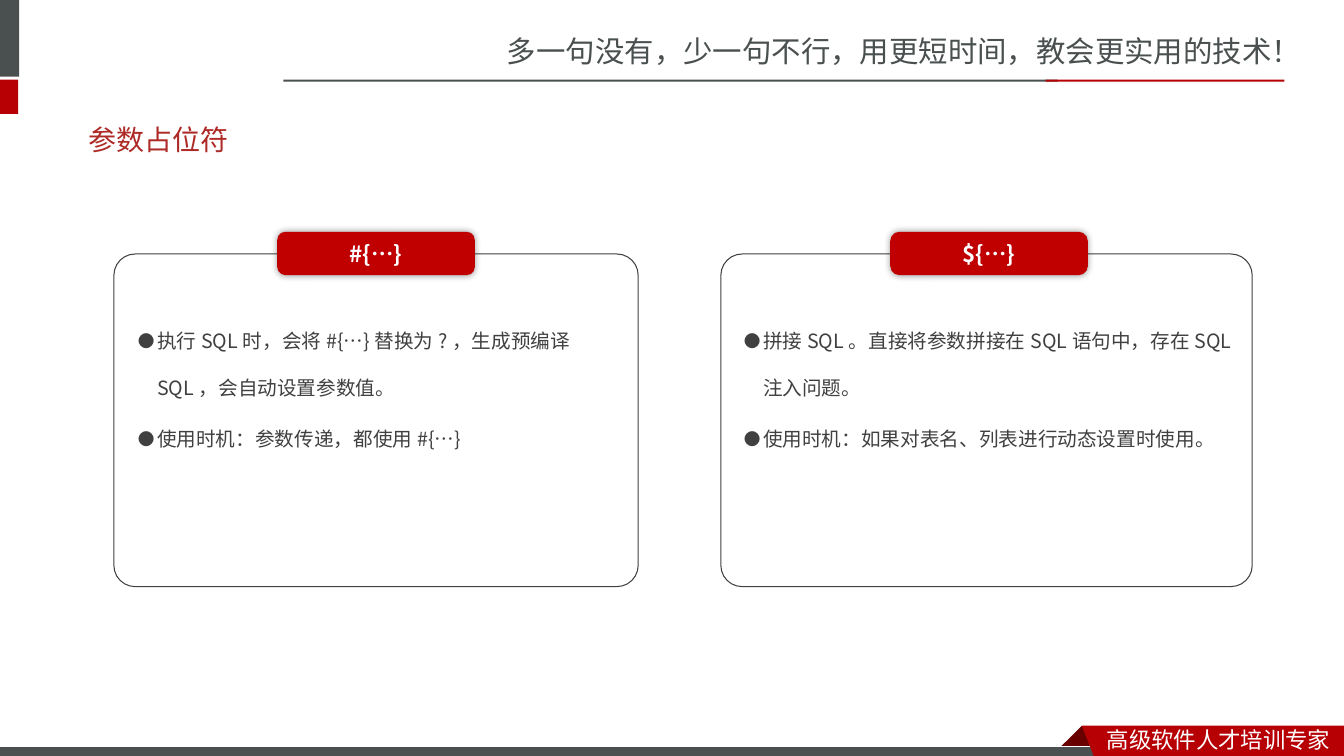
from dataclasses import dataclass

from lxml.etree import SubElement
from pptx import Presentation
from pptx.dml.color import RGBColor
from pptx.enum.shapes import MSO_SHAPE as Preset
from pptx.enum.text import MSO_ANCHOR as Anchor, PP_ALIGN as Align
from pptx.oxml.ns import qn
from pptx.util import Inches, Pt

GREY, RED, DARK_RED, WHITE = "49504F", "B60004", "680000", "FFFFFF"
BADGE_RED, TITLE_RED, INK = "C00000", "AD2A26", "404040"
SANS, SANS_JP, LATO = "Noto Sans CJK SC", "Noto Sans CJK JP", "Lato"


@dataclass
class Box:
    left: float
    top: float
    width: float
    height: float

    def inches(self) -> tuple:
        return tuple(Inches(n) for n in (self.left, self.top, self.width, self.height))


@dataclass
class Bar:
    box: Box
    fill: str
    line: str = ""


@dataclass
class Ribbon:
    points: list
    fill: str


@dataclass
class Label:
    box: Box
    text: str
    size: float
    color: str
    font: str = SANS
    anchor: Anchor = Anchor.TOP


@dataclass
class Card:
    frame: Box
    badge_left: float
    badge_corner: float
    badge: str
    body_left: float
    bullets: list


def rgb(color: str) -> RGBColor:
    return RGBColor.from_string(color)


def paint(shape, fill: str = "", line: str = "") -> None:
    shape.shadow.inherit = False
    if fill:
        shape.fill.solid()
        shape.fill.fore_color.rgb = rgb(fill)
    else:
        shape.fill.background()
    if line:
        shape.line.color.rgb = rgb(line)
        shape.line.width = Pt(0.75)
    else:
        shape.line.fill.background()


def add_run(paragraph, text: str, size: float, color: str, font: str, bold: bool = False) -> None:
    run = paragraph.add_run()
    run.text = text
    run.font.size = Pt(size)
    run.font.bold = bold
    run.font.name = font
    run.font.color.rgb = rgb(color)
    SubElement(run.font._element, qn("a:ea"), typeface=font)


def add_bullet(paragraph) -> None:
    properties = paragraph._p.get_or_add_pPr()
    properties.set("marL", str(Inches(0.19)))
    properties.set("indent", str(-Inches(0.19)))
    color = SubElement(properties, qn("a:buClr"))
    SubElement(color, qn("a:srgbClr"), val=INK)
    SubElement(properties, qn("a:buSzPct"), val="85000")
    SubElement(properties, qn("a:buFont"), typeface=SANS_JP)
    SubElement(properties, qn("a:buChar"), char="●")


def add_glow_shadow(shape) -> None:
    effects = shape._element.spPr.find(qn("a:effectLst"))
    shadow = SubElement(effects, qn("a:outerShdw"), blurRad=str(Pt(5)), dist="0", dir="0")
    color = SubElement(shadow, qn("a:srgbClr"), val="000000")
    SubElement(color, qn("a:alpha"), val="40000")


def draw_bar(slide, bar: Bar) -> None:
    paint(slide.shapes.add_shape(Preset.RECTANGLE, *bar.box.inches()), bar.fill, bar.line)


def draw_ribbon(slide, ribbon: Ribbon) -> None:
    start, *rest = [(Inches(x), Inches(y)) for x, y in ribbon.points]
    builder = slide.shapes.build_freeform(*start)
    builder.add_line_segments(rest, close=True)
    paint(builder.convert_to_shape(), ribbon.fill)


def draw_label(slide, label: Label) -> None:
    frame = slide.shapes.add_textbox(*label.box.inches()).text_frame
    frame.word_wrap = True
    frame.vertical_anchor = label.anchor
    add_run(frame.paragraphs[0], label.text, label.size, label.color, label.font)


def draw_card(slide, card: Card) -> None:
    frame = slide.shapes.add_shape(Preset.ROUNDED_RECTANGLE, *card.frame.inches())
    frame.adjustments[0] = 0.064
    paint(frame, line=INK)

    badge_box = Box(card.badge_left, 2.3, 1.96, 0.43)
    badge = slide.shapes.add_shape(Preset.ROUNDED_RECTANGLE, *badge_box.inches())
    badge.adjustments[0] = card.badge_corner
    paint(badge, BADGE_RED)
    add_glow_shadow(badge)
    badge.text_frame.vertical_anchor = Anchor.MIDDLE
    heading = badge.text_frame.paragraphs[0]
    heading.alignment = Align.CENTER
    add_run(heading, card.badge, 16, WHITE, SANS_JP, bold=True)

    body = slide.shapes.add_textbox(*Box(card.body_left, 2.98, 5.06, 2.4).inches()).text_frame
    body.word_wrap = True
    for index, text in enumerate(card.bullets):
        paragraph = body.add_paragraph() if index else body.paragraphs[0]
        paragraph.line_spacing = 2.0
        paragraph.space_before = Pt(2.8)
        add_bullet(paragraph)
        add_run(paragraph, text, 14, INK, SANS_JP)


BARS = [
    Bar(Box(-0.06, 0, 0.25, 0.76), GREY),
    Bar(Box(-0.06, 0.79, 0.24, 0.34), RED),
    Bar(Box(2.81, 0.79, 7.68, 0.02), GREY),
    Bar(Box(10.37, 0.79, 2.37, 0.02), RED),
]
FOOTER_BAR = Bar(Box(-0.01, 7.41, 11, 0.12), GREY, WHITE)
FOLD = Ribbon([(10.73, 7.2), (10.95, 7.42), (10.94, 7.43), (10.52, 7.43), (10.51, 7.42)], DARK_RED)
BANNER = Ribbon([(10.73, 7.2), (13.33, 7.2), (13.33, 7.54), (10.86, 7.53)], RED)
LABELS = [
    Label(Box(4.93, 0.28, 8.41, 0.47), "多一句没有，少一句不行，用更短时间，教会更实用的技术！", 21, GREY),
    Label(Box(10.88, 7.15, 2.45, 0.37), "高级软件人才培训专家", 16, WHITE),
    Label(Box(0.78, 1.1, 11.7, 0.57), "参数占位符", 20, TITLE_RED, LATO, Anchor.MIDDLE),
]
CARDS = [
    Card(Box(1.13, 2.52, 5.2, 3.3), 2.75, 0.188, "#{…}", 1.27, [
        "执行SQL时，会将#{…}替换为?，生成预编译SQL，会自动设置参数值。",
        "使用时机：参数传递，都使用#{…}",
    ]),
    Card(Box(7.15, 2.52, 5.27, 3.3), 8.83, 0.211, "${…}", 7.28, [
        "拼接SQL。直接将参数拼接在SQL语句中，存在SQL注入问题。",
        "使用时机：如果对表名、列表进行动态设置时使用。",
    ]),
]


def main() -> None:
    presentation = Presentation()
    presentation.slide_width = Inches(13.33)
    presentation.slide_height = Inches(7.5)
    slide = presentation.slides.add_slide(presentation.slide_layouts[6])

    # Header and footer decoration
    for bar in BARS:
        draw_bar(slide, bar)
    draw_ribbon(slide, FOLD)
    draw_bar(slide, FOOTER_BAR)
    draw_ribbon(slide, BANNER)

    # Slogan, footer text and title
    for label in LABELS:
        draw_label(slide, label)

    # Comparison cards
    for card in CARDS:
        draw_card(slide, card)

    presentation.save("out.pptx")


if __name__ == "__main__":
    main()
